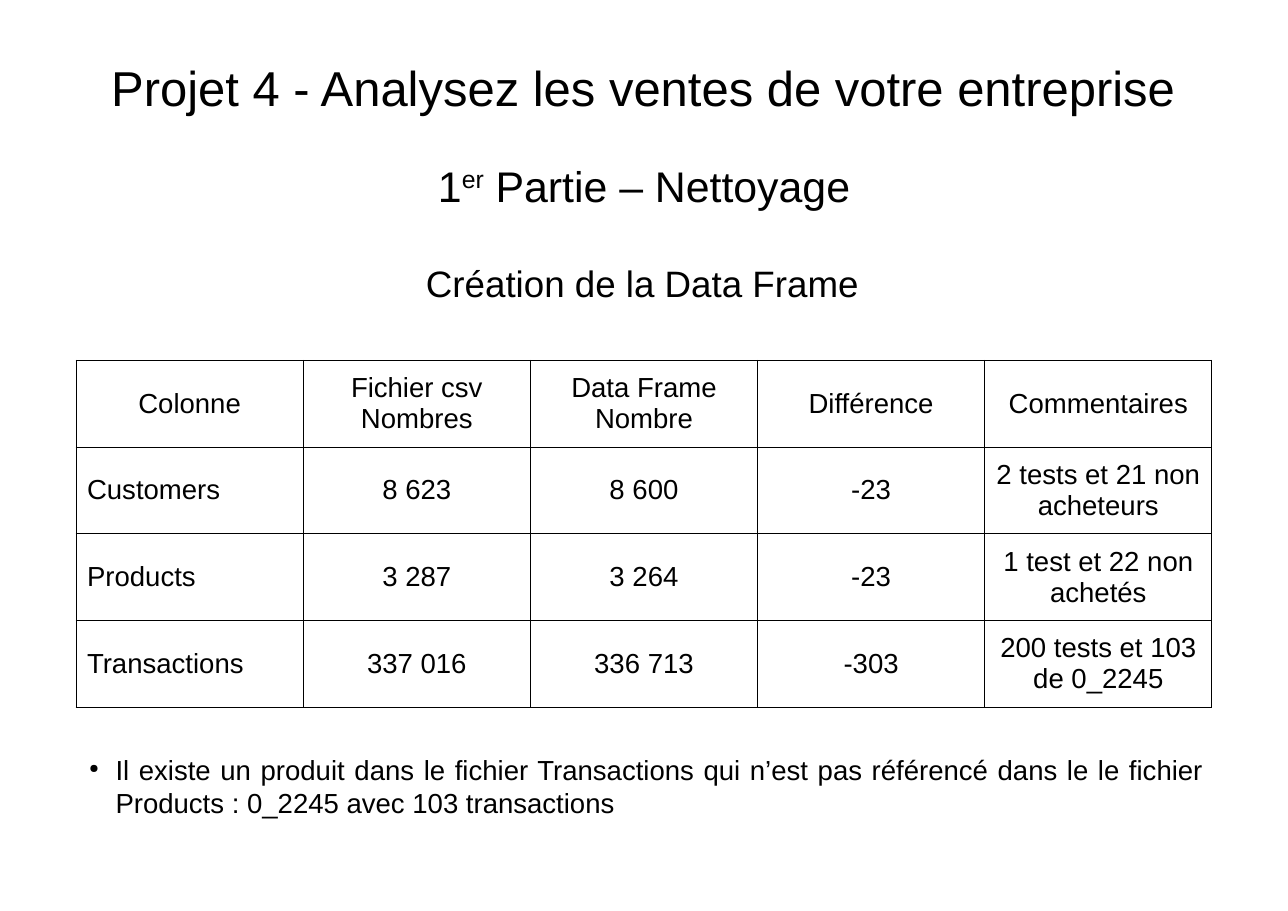
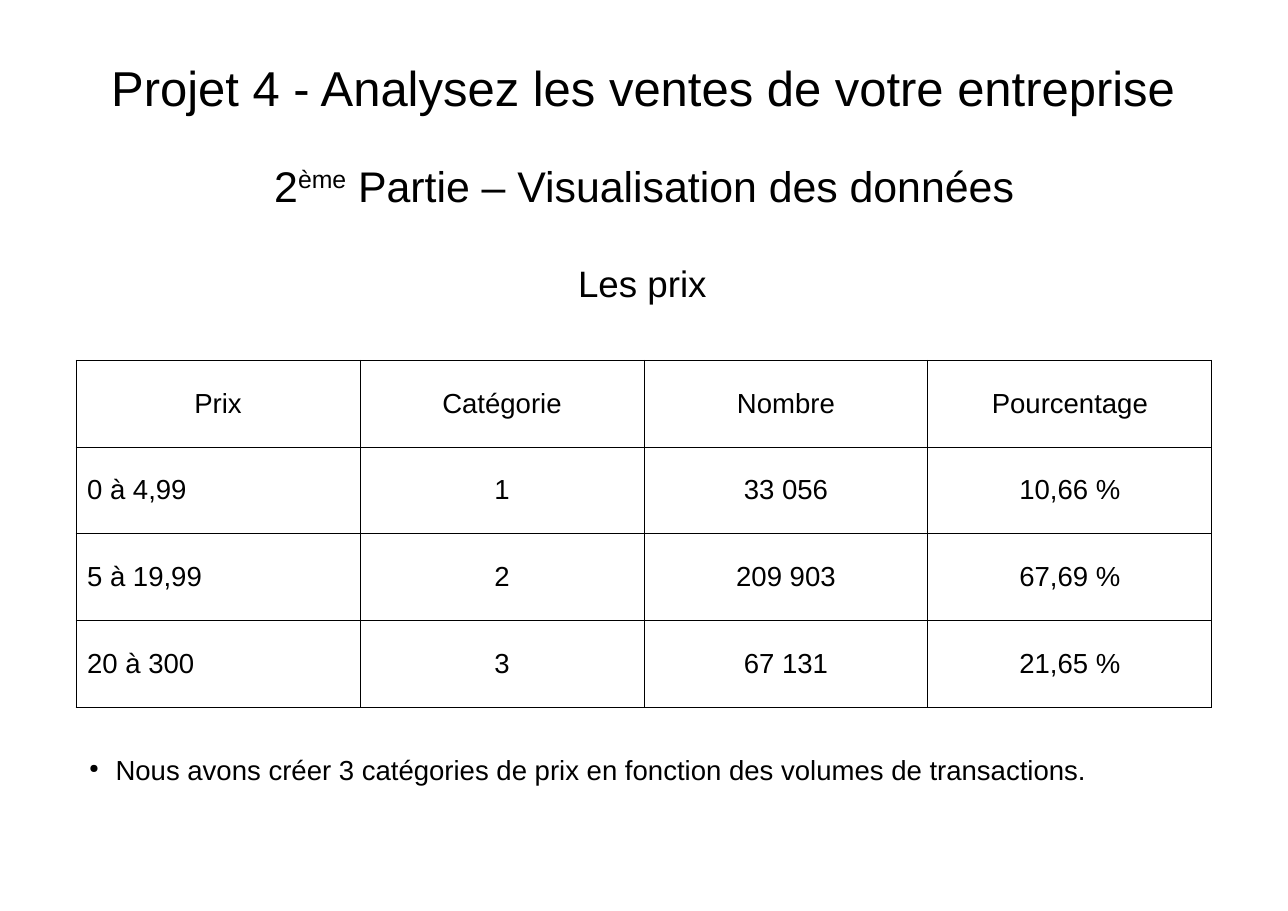
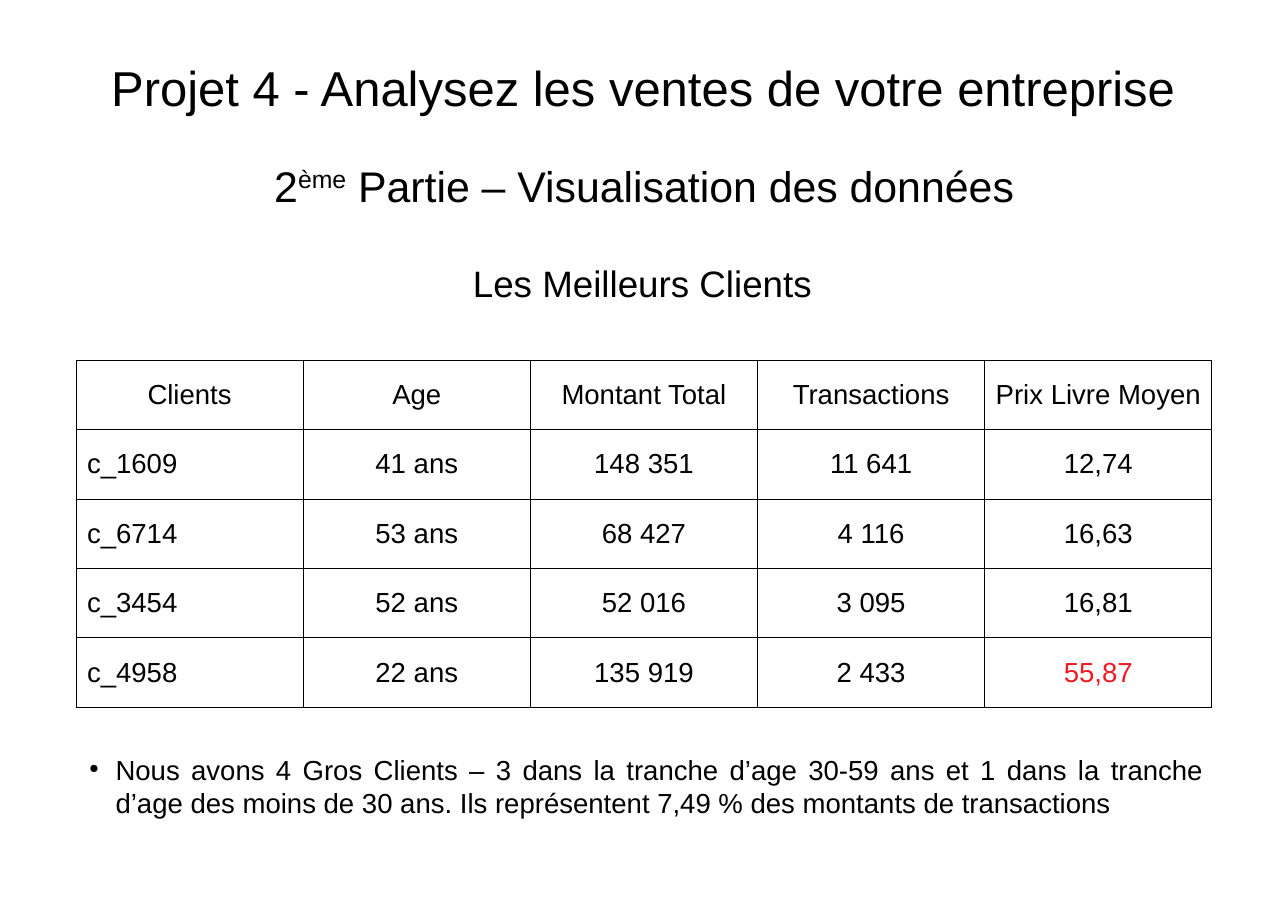
from dataclasses import dataclass

from lxml import etree
from pptx import Presentation
from pptx.dml.color import RGBColor
from pptx.enum.text import MSO_ANCHOR, MSO_AUTO_SIZE, PP_ALIGN
from pptx.oxml.ns import qn
from pptx.slide import Slide
from pptx.table import _Cell
from pptx.text.text import TextFrame, _Paragraph
from pptx.util import Inches, Pt

BLACK = RGBColor(0x00, 0x00, 0x00)
RED = RGBColor(0xED, 0x1C, 0x24)
FONT = "Arial"
LEFT, CENTER, JUSTIFY = PP_ALIGN.LEFT, PP_ALIGN.CENTER, PP_ALIGN.JUSTIFY
MIDDLE, TOP = MSO_ANCHOR.MIDDLE, MSO_ANCHOR.TOP
NO_AUTOFIT = MSO_AUTO_SIZE.NONE

TITLE_SIZE, SECTION_SIZE, SUBJECT_SIZE, BODY_SIZE = 32, 28, 24, 18
TITLE = "Projet 4 - Analysez les ventes de votre entreprise"
TABLE_WIDTH, TABLE_HEIGHT = Inches(10.31), Inches(3.15)
BORDER_WIDTH = Pt(0.57)
NOTE_INDENT = Inches(0.24)


@dataclass(frozen=True)
class Box:
    """A place on the slide, in inches."""
    left: float
    top: float
    width: float
    height: float


TITLE_BOX = Box(0.94, 0.32, 9.81, 0.94)
SECTION_BOX = Box(0.94, 1.26, 9.81, 0.85)
SUBJECT_BOX = Box(0.71, 2.14, 10.24, 0.85)
NOTE_BOX = Box(0.71, 6.79, 10.31, 0.66)


@dataclass(frozen=True)
class Section:
    number: str
    ordinal: str
    name: str


CLEANING = Section("1", "er", "Nettoyage")
VISUALISATION = Section("2", "ème", "Visualisation des données")


@dataclass(frozen=True)
class Page:
    section: Section
    subject: str
    rows: list[list[str]]
    note: str
    red_cell: tuple[int, int] | None = None


PAGES = [
    Page(
        CLEANING,
        "Création de la Data Frame",
        [
            ["Colonne", "Fichier csv\nNombres", "Data Frame\nNombre", "Différence", "Commentaires"],
            ["Customers", "8 623", "8 600", "-23", "2 tests et 21 non acheteurs"],
            ["Products", "3 287", "3 264", "-23", "1 test et 22 non achetés"],
            ["Transactions", "337 016", "336 713", "-303", "200 tests et 103 de 0_2245"],
        ],
        "Il existe un produit dans le fichier Transactions qui n’est pas référencé "
        "dans le le fichier Products : 0_2245 avec 103 transactions",
    ),
    Page(
        VISUALISATION,
        "Les prix",
        [
            ["Prix", "Catégorie", "Nombre", "Pourcentage"],
            ["0 à 4,99", "1", "33 056", "10,66 %"],
            ["5 à 19,99", "2", "209 903", "67,69 %"],
            ["20 à 300", "3", "67 131", "21,65 %"],
        ],
        "Nous avons créer 3 catégories de prix en fonction des volumes de transactions.",
    ),
    Page(
        VISUALISATION,
        "Les Meilleurs Clients",
        [
            ["Clients", "Age", "Montant Total", "Transactions", "Prix Livre Moyen"],
            ["c_1609", "41 ans", "148 351", "11 641", "12,74"],
            ["c_6714", "53 ans", "68 427", "4 116", "16,63"],
            ["c_3454", "52 ans", "52 016", "3 095", "16,81"],
            ["c_4958", "22 ans", "135 919", "2 433", "55,87"],
        ],
        "Nous avons 4 Gros Clients – 3 dans la tranche d’age 30-59 ans et 1 dans la "
        "tranche d’age des moins de 30 ans. Ils représentent 7,49 % des montants de transactions",
        red_cell=(4, 4),
    ),
]


def format_paragraph(paragraph: _Paragraph, size: float, alignment: PP_ALIGN,
                     color: RGBColor = BLACK) -> None:
    paragraph.alignment = alignment
    paragraph.font.name = FONT
    paragraph.font.size = Pt(size)
    paragraph.font.color.rgb = color


def format_frame(frame: TextFrame, anchor: MSO_ANCHOR,
                 side_margin: float = 0, end_margin: float = 0) -> None:
    frame.word_wrap = True
    frame.auto_size = NO_AUTOFIT
    frame.vertical_anchor = anchor
    frame.margin_left = frame.margin_right = Inches(side_margin)
    frame.margin_top = frame.margin_bottom = Inches(end_margin)


def add_text_frame(slide: Slide, box: Box) -> TextFrame:
    return slide.shapes.add_textbox(
        Inches(box.left), Inches(box.top), Inches(box.width), Inches(box.height)
    ).text_frame


def set_title(slide: Slide) -> None:
    title = slide.shapes.title
    title.left, title.top = Inches(TITLE_BOX.left), Inches(TITLE_BOX.top)
    title.width, title.height = Inches(TITLE_BOX.width), Inches(TITLE_BOX.height)
    title.text_frame.text = TITLE
    format_frame(title.text_frame, MIDDLE)
    format_paragraph(title.text_frame.paragraphs[0], TITLE_SIZE, CENTER)


def add_section(slide: Slide, section: Section) -> None:
    frame = add_text_frame(slide, SECTION_BOX)
    format_frame(frame, MIDDLE)
    paragraph = frame.paragraphs[0]
    format_paragraph(paragraph, SECTION_SIZE, CENTER)
    paragraph.add_run().text = section.number
    ordinal = paragraph.add_run()
    ordinal.text = section.ordinal
    ordinal._r.get_or_add_rPr().set("baseline", "33000")
    paragraph.add_run().text = f" Partie – {section.name}"


def add_subject(slide: Slide, subject: str) -> None:
    frame = add_text_frame(slide, SUBJECT_BOX)
    format_frame(frame, MIDDLE)
    frame.text = subject
    format_paragraph(frame.paragraphs[0], SUBJECT_SIZE, CENTER)


def set_borders(cell: _Cell) -> None:
    properties = cell._tc.get_or_add_tcPr()
    for position, side in enumerate(("a:lnL", "a:lnR", "a:lnT", "a:lnB")):
        line = etree.Element(qn(side), w=str(BORDER_WIDTH))
        fill = etree.SubElement(line, qn("a:solidFill"))
        etree.SubElement(fill, qn("a:srgbClr"), val=str(BLACK))
        properties.insert(position, line)


def add_table(slide: Slide, page: Page) -> None:
    row_count, column_count = len(page.rows), len(page.rows[0])
    table = slide.shapes.add_table(
        row_count, column_count, Inches(0.69), Inches(3.27), TABLE_WIDTH, TABLE_HEIGHT
    ).table
    table.first_row = table.horz_banding = False
    for row_index, row in enumerate(page.rows):
        for column_index, text in enumerate(row):
            cell = table.cell(row_index, column_index)
            cell.text = text
            cell.vertical_anchor = MIDDLE
            cell.fill.background()
            set_borders(cell)
            is_row_label = row_index > 0 and column_index == 0
            color = RED if (row_index, column_index) == page.red_cell else BLACK
            for paragraph in cell.text_frame.paragraphs:
                format_paragraph(paragraph, BODY_SIZE, LEFT if is_row_label else CENTER, color)


def add_note(slide: Slide, note: str) -> None:
    frame = add_text_frame(slide, NOTE_BOX)
    format_frame(frame, TOP, side_margin=0.1, end_margin=0.05)
    frame.text = note
    paragraph = frame.paragraphs[0]
    format_paragraph(paragraph, BODY_SIZE, JUSTIFY)
    properties = paragraph._p.get_or_add_pPr()
    properties.set("marL", str(NOTE_INDENT))
    properties.set("indent", str(-NOTE_INDENT))
    bullet_size = etree.Element(qn("a:buSzPct"), val="45000")
    bullet = etree.Element(qn("a:buChar"), char="●")
    properties.insert(0, bullet_size)
    properties.insert(1, bullet)


def main() -> None:
    presentation = Presentation()
    presentation.slide_width, presentation.slide_height = Inches(11.69), Inches(8.27)
    title_only = presentation.slide_layouts.get_by_name("Title Only")
    for page in PAGES:
        slide = presentation.slides.add_slide(title_only)
        set_title(slide)
        add_section(slide, page.section)
        add_subject(slide, page.subject)
        add_table(slide, page)
        add_note(slide, page.note)
    presentation.save("out.pptx")


if __name__ == "__main__":
    main()
